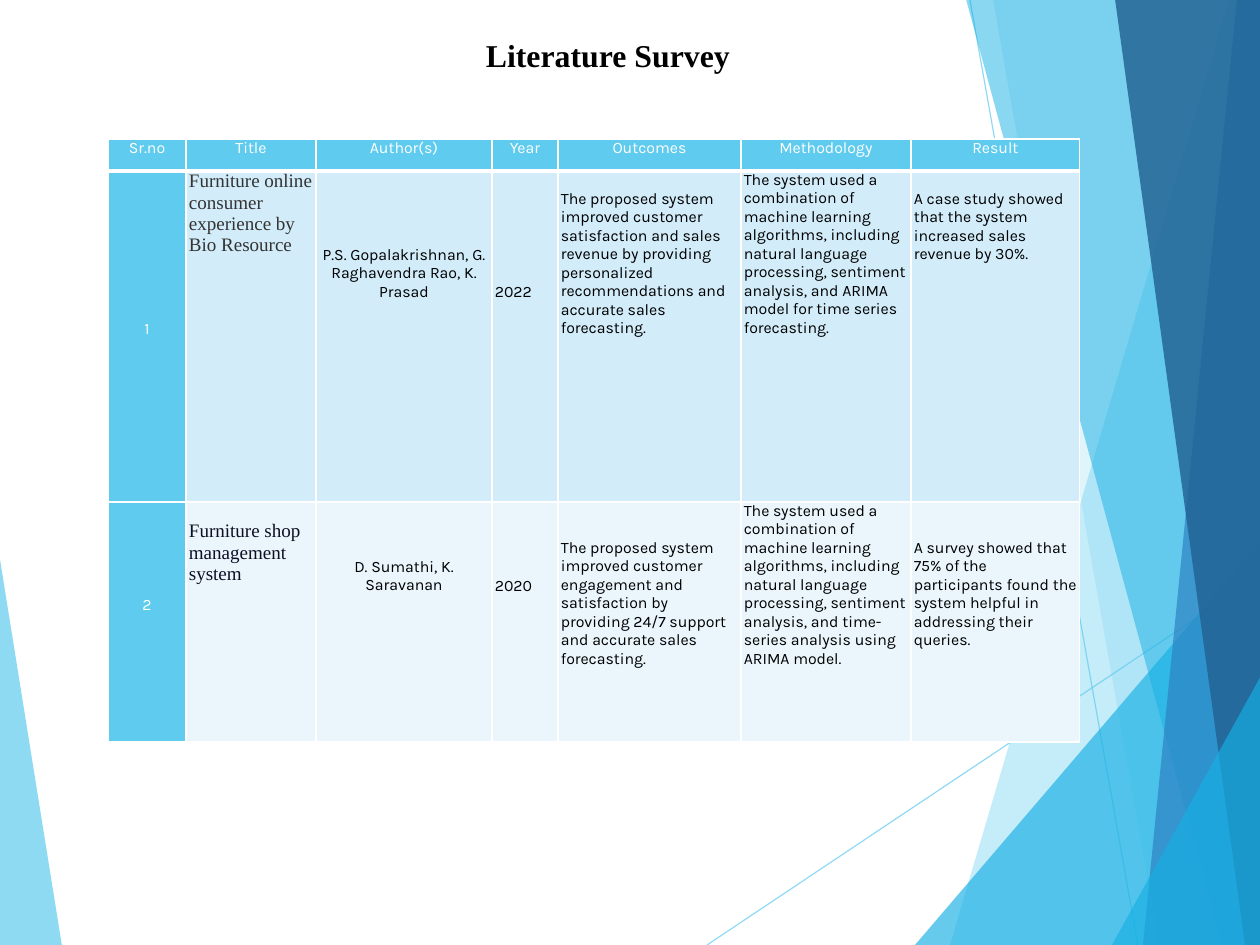
"""Build the Literature Survey slide: a table of two papers over blue facets."""
from lxml.etree import SubElement
from pptx import Presentation
from pptx.dml.color import RGBColor as RGB
from pptx.enum.shapes import MSO_CONNECTOR as LINK
from pptx.enum.text import MSO_ANCHOR as ANCHOR, MSO_AUTO_SIZE as AUTO, PP_ALIGN as ALIGN
from pptx.oxml.ns import qn
from pptx.util import Emu, Pt

PX = 8000
BLACK, WHITE = RGB(0, 0, 0), RGB(255, 255, 255)
SKY, CYAN = RGB(0x5F, 0xCB, 0xEF), RGB(0x17, 0xB0, 0xE4)
BLUE, NAVY = RGB(0x2E, 0x83, 0xC3), RGB(0x22, 0x62, 0x92)
PALE, FAINT = RGB(0xD2, 0xEC, 0xF9), RGB(0xEA, 0xF6, 0xFC)
GRAY, INK = RGB(0x33, 0x33, 0x33), RGB(0x0E, 0x0F, 0x25)
SERIF, SANS = "Times New Roman", "Karla"


def px(*nums):
    return [Emu(n * PX) for n in nums]


def fade(shape, pct):
    for clr in shape._element.spPr.iter(qn("a:srgbClr")):
        SubElement(clr, qn("a:alpha"), val=str(pct * 1000))


deck = Presentation()
deck.slide_width, deck.slide_height = px(1260, 945)
slide = deck.slides.add_slide(deck.slide_layouts[5])
shapes = slide.shapes

title = shapes.title
title.left, title.top, title.width, title.height = px(136, 31, 888, 73)
frame = title.text_frame
frame.text = "Literature Survey"
frame.auto_size, frame.vertical_anchor = AUTO.NONE, ANCHOR.TOP
frame.margin_left, frame.margin_top, frame.margin_right, frame.margin_bottom = px(65, 5, 9, 5)
head = frame.paragraphs[0]
head.alignment = ALIGN.CENTER
font = head.font
font.name, font.size, font.bold, font.color.rgb = SERIF, Pt(20), True, BLACK

FACETS = [
    (SKY, 70, [(-1, 553), (62, 946), (-1, 945)]),
    (SKY, 36, [(1229, 0), (950, 945), (1262, 946), (1261, 1)]),
    (SKY, 20, [(993, -1), (1159, 945), (1261, 945), (1261, -1)]),
    (CYAN, 66, [(915, 945), (1261, 541), (1261, 945)]),
    (CYAN, 50, [(966, -1), (1222, 945), (1261, 945), (1261, -1)]),
    (BLUE, 70, [(1237, -1), (1143, 945), (1261, 945), (1261, -1)]),
    (NAVY, 82, [(1115, -1), (1245, 945), (1262, 945), (1261, -1)]),
    (CYAN, 66, [(1112, 945), (1262, 674), (1263, 945)]),
]
for ends in [(707, 945, 1261, 575), (970, 0, 1138, 945)]:
    ray = shapes.add_connector(LINK.STRAIGHT, *px(*ends))
    ray.line.color.rgb, ray.line.width = SKY, Pt(0.75)
    fade(ray, 70)
    SubElement(ray._element.spPr, qn("a:effectLst"))
for color, pct, points in FACETS:
    pen = shapes.build_freeform(*points[0], scale=PX)
    pen.add_line_segments(points[1:], close=True)
    facet = pen.convert_to_shape()
    facet.shadow.inherit = False
    facet.fill.solid()
    facet.fill.fore_color.rgb = color
    facet.line.fill.background()
    fade(facet, pct)

WIDTHS = [78, 130, 176, 66, 183, 170, 169]
HEIGHTS = [32, 331, 240]
FILLS = [SKY, PALE, FAINT]
TONES = [WHITE, GRAY, INK]
DROPS = [
    [0] * 7,
    [149, 0, 75, 112, 19, 0, 19],
    [94, 19, 56, 75, 37, 0, 37],
]
ROWS = [
    ["Sr.no", "Title", "Author(s)", "Year", "Outcomes", "Methodology", "Result"],
    ["1", "Furniture online consumer experience by Bio Resource",
     "P.S. Gopalakrishnan, G. Raghavendra Rao, K. Prasad", "2022",
     "The proposed system improved customer satisfaction and sales revenue by "
     "providing personalized recommendations and accurate sales forecasting.",
     "The system used a combination of machine learning algorithms, including natural "
     "language processing, sentiment analysis, and ARIMA model for time series forecasting.",
     "A case study showed that the system increased sales revenue by 30%."],
    ["2", "Furniture shop management system", "D. Sumathi, K. Saravanan", "2020",
     "The proposed system improved customer engagement and satisfaction by "
     "providing 24/7 support and accurate sales forecasting.",
     "The system used a combination of machine learning algorithms, including natural "
     "language processing, sentiment analysis, and time-series analysis using ARIMA model.",
     "A survey showed that 75% of the participants found the system helpful in "
     "addressing their queries."],
]
table = shapes.add_table(3, 7, *px(108, 139, sum(WIDTHS), sum(HEIGHTS))).table
table.first_row = table.horz_banding = False
for col, width in zip(table.columns, px(*WIDTHS)):
    col.width = width
for row, height in zip(table.rows, px(*HEIGHTS)):
    row.height = height

for r, texts in enumerate(ROWS):
    for c, text in enumerate(texts):
        cell = table.cell(r, c)
        cell.text = text
        cell.margin_left, cell.margin_top, cell.margin_right, cell.margin_bottom = px(3, DROPS[r][c], 3, 0)
        cell.fill.solid()
        cell.fill.fore_color.rgb = SKY if c == 0 else FILLS[r]
        para = cell.text_frame.paragraphs[0]
        para.alignment = ALIGN.CENTER if r == 0 or c in (0, 2) else ALIGN.LEFT
        named = r > 0 and c == 1
        font = para.font
        font.name, font.size = (SERIF, Pt(12)) if named else (SANS, Pt(10))
        font.color.rgb = TONES[r] if named else WHITE if r == 0 or c == 0 else BLACK
        props = cell._tc.get_or_add_tcPr()
        for spot, side in enumerate("LRTB"):
            wide = 3 if r == 0 and side == "B" else 1
            edge = SubElement(props, qn("a:ln" + side), w=str(Pt(wide)))
            fill = SubElement(edge, qn("a:solidFill"))
            SubElement(fill, qn("a:srgbClr"), val=str(WHITE))
            props.insert(spot, edge)

deck.save("out.pptx")
